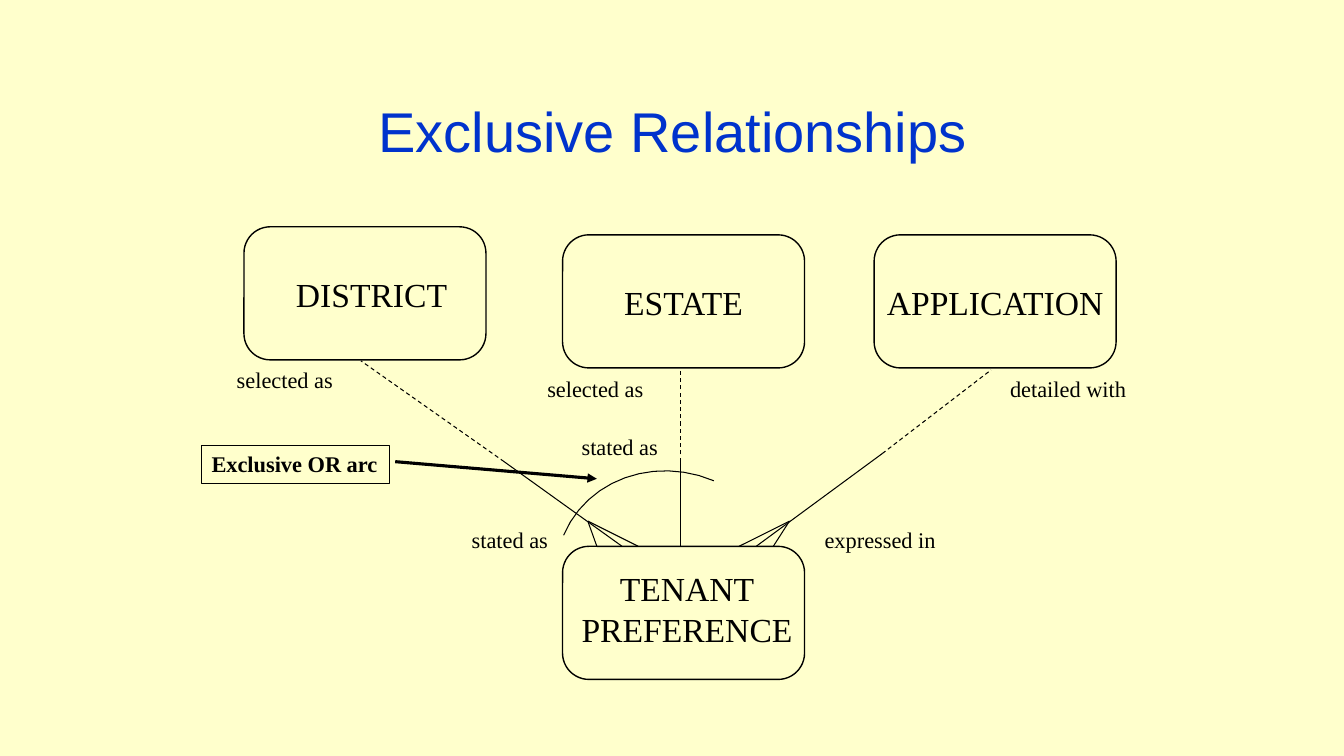
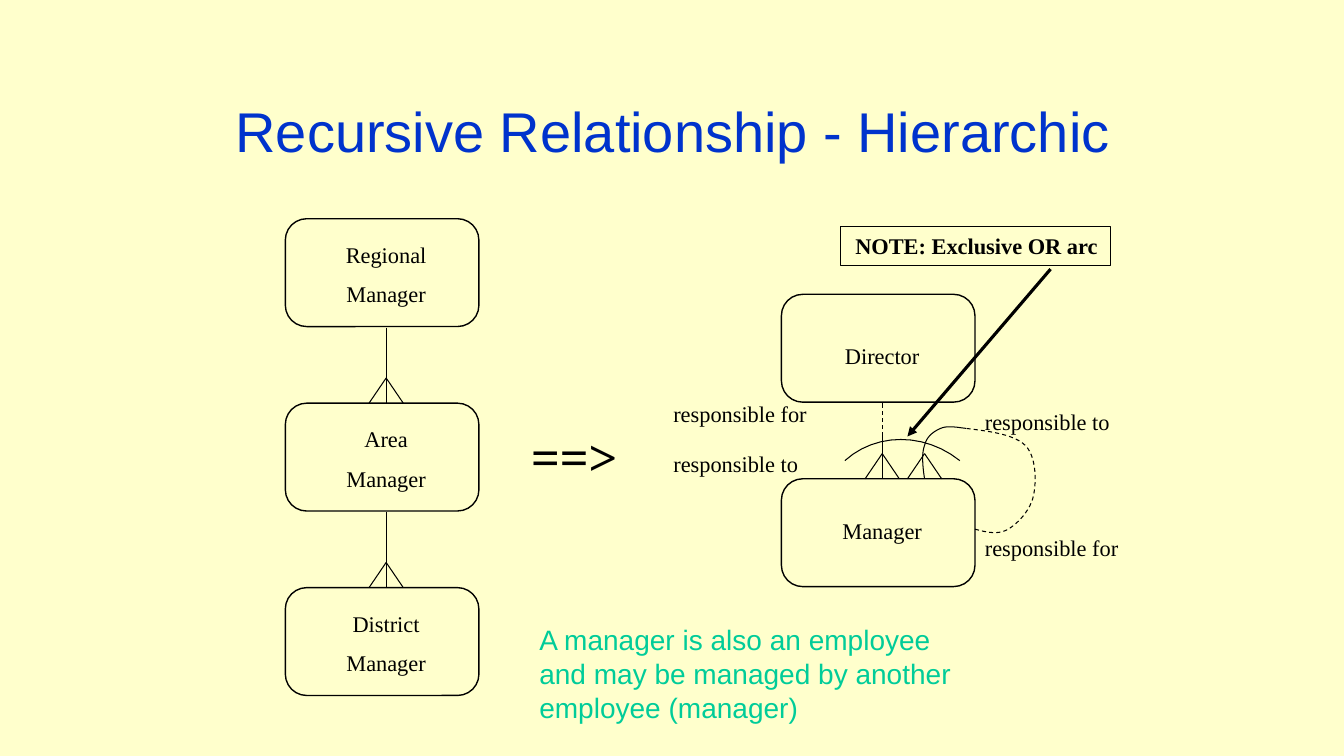
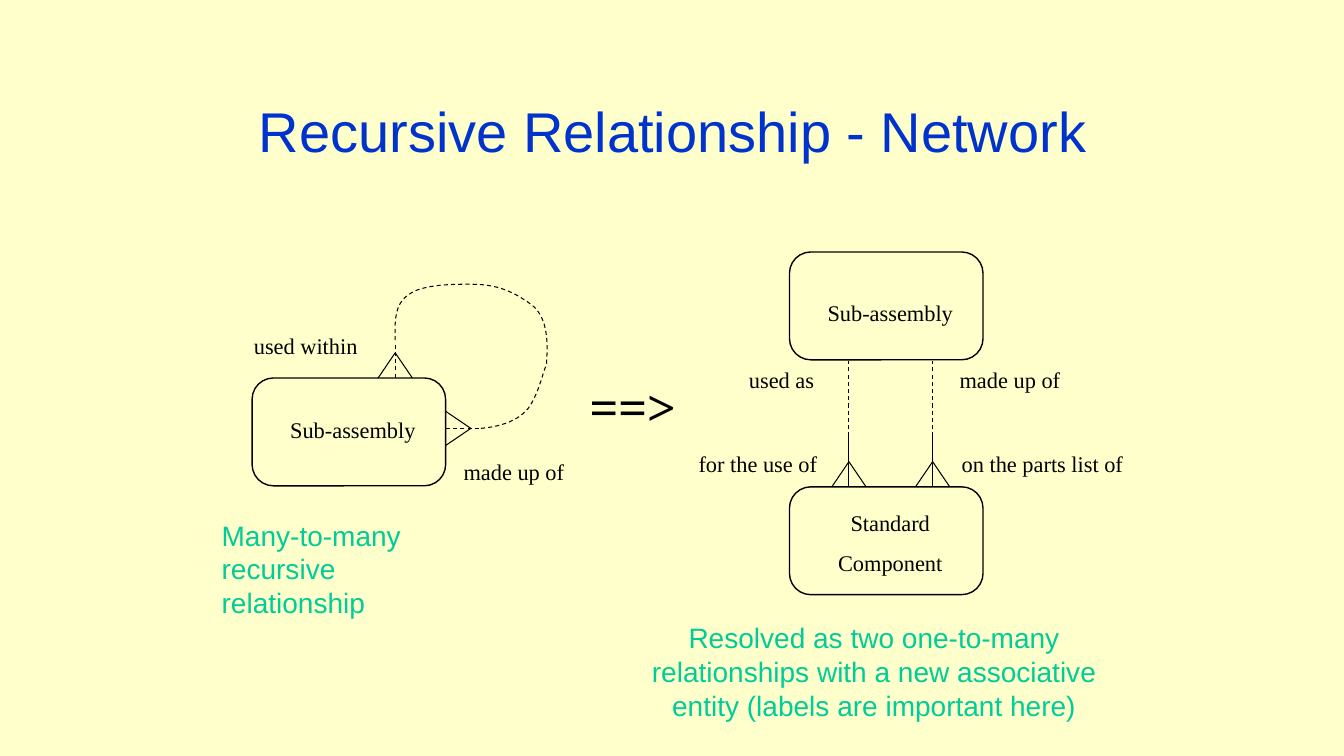
from dataclasses import dataclass, field

from lxml.etree import SubElement
from pptx import Presentation
from pptx.dml.color import RGBColor
from pptx.enum.dml import MSO_LINE
from pptx.enum.shapes import MSO_CONNECTOR, MSO_SHAPE
from pptx.enum.text import MSO_ANCHOR, MSO_AUTO_SIZE, PP_ALIGN
from pptx.oxml.ns import qn
from pptx.slide import Slide
from pptx.text.text import TextFrame
from pptx.util import Inches, Pt

COLORS = {"page": "FFFFCC", "title": "0033CC", "ink": "000000", "remark": "00CC99"}
SERIF, SANS = "Times New Roman", "Arial"
CORNER = 0.198
CURVE_STEPS = 12

Point = tuple[float, float]


# Element descriptions, lengths in inches
@dataclass(frozen=True)
class Entity:
    """Rounded box; inset and text_top place its name."""
    name: str
    left: float
    top: float
    text_top: float
    inset: float = 0.08
    width: float = 1.92
    height: float = 1.07
    size: int = 16
    gap: int = 9


@dataclass(frozen=True)
class Line:
    start: Point
    end: Point
    dashed: bool = False
    weight: float = 0.75
    arrow: bool = False


@dataclass(frozen=True)
class Curve:
    """Bezier chain: a start, then two controls and an end per segment."""
    points: list[Point]
    dashed: bool = False


@dataclass(frozen=True)
class Style:
    height: float
    size: int
    font: str = SERIF
    color: str = "ink"
    bold: bool = False
    border: bool = False
    wrap: bool = False


@dataclass(frozen=True)
class Label:
    text: str
    left: float
    top: float
    width: float
    style: str = "role"
    align: PP_ALIGN = PP_ALIGN.LEFT


@dataclass
class Diagram:
    title: str
    entities: list[Entity]
    lines: list[Line]
    labels: list[Label]
    curves: list[Curve] = field(default_factory=list)


STYLES = {
    "role": Style(0.37, 16),
    "note": Style(0.38, 16, bold=True, border=True),
    "implies": Style(0.7, 36, bold=True),
    "remark": Style(1.1, 20, font=SANS, color="remark", wrap=True),
}


def rgb(name: str) -> RGBColor:
    return RGBColor.from_string(COLORS[name])


# Rules that build parts of a diagram
def big_entity(name: str, left: float, top: float, text_top: float = 0.39,
               inset: float = 0) -> Entity:
    return Entity(name, left, top, text_top, inset, 2.4, 1.32, 24, 0)


def fan(apex: Point, *toes: Point) -> list[Line]:
    return [Line(apex, toe) for toe in toes]


def crows_foot(x: float, bottom: float) -> list[Line]:
    return fan((x, bottom - 0.25), (x - 0.17, bottom), (x + 0.17, bottom))


def half_dashed(top: Point, middle: Point, bottom: Point) -> list[Line]:
    return [Line(middle, top, dashed=True), Line(middle, bottom)]


def pointer(start: Point, end: Point) -> Line:
    return Line(start, end, weight=2.25, arrow=True)


def bezier(points: list[Point]) -> list[Point]:
    result = [points[0]]
    for i in range(0, len(points) - 1, 3):
        segment = points[i:i + 4]
        for step in range(1, CURVE_STEPS + 1):
            t = step / CURVE_STEPS
            weights = ((1 - t) ** 3, 3 * t * (1 - t) ** 2, 3 * t * t * (1 - t), t ** 3)
            result.append((sum(w * p[0] for w, p in zip(weights, segment)),
                           sum(w * p[1] for w, p in zip(weights, segment))))
    return result


# Drawing
def format_text(tf: TextFrame, size: int, font: str, color: str,
                align: PP_ALIGN, bold: bool = False, gap: int = 0) -> None:
    for i, p in enumerate(tf.paragraphs):
        p.alignment = align
        p.space_before = Pt(gap if i else 0)
        for r in p.runs:
            r.font.size = Pt(size)
            r.font.name = font
            r.font.bold = bold
            r.font.color.rgb = rgb(color)


def outline(sp, weight: float, dashed: bool = False) -> None:
    sp.line.color.rgb = rgb("ink")
    sp.line.width = Pt(weight)
    if dashed:
        sp.line.dash_style = MSO_LINE.DASH


def draw_title(s: Slide, text: str) -> None:
    sp = s.shapes.title
    sp.left, sp.top, sp.width, sp.height = map(Inches, (1, 0.67, 11.34, 1.25))
    tf = sp.text_frame
    tf.text = text
    tf.auto_size = MSO_AUTO_SIZE.NONE
    tf.vertical_anchor = MSO_ANCHOR.MIDDLE
    format_text(tf, 40, SANS, "title", PP_ALIGN.CENTER)


def draw_entity(s: Slide, e: Entity) -> None:
    sp = s.shapes.add_shape(MSO_SHAPE.ROUNDED_RECTANGLE, Inches(e.left), Inches(e.top),
                            Inches(e.width), Inches(e.height))
    sp.adjustments[0] = CORNER
    sp.shadow.inherit = False
    sp.fill.background()
    outline(sp, 1)
    tf = sp.text_frame
    tf.text = e.name
    tf.word_wrap = True
    tf.vertical_anchor = MSO_ANCHOR.TOP
    tf.margin_left, tf.margin_top = Inches(e.inset), Inches(e.text_top)
    tf.margin_right = tf.margin_bottom = 0
    format_text(tf, e.size, SERIF, "ink", PP_ALIGN.CENTER, gap=e.gap)


def draw_line(s: Slide, line: Line) -> None:
    sp = s.shapes.add_connector(MSO_CONNECTOR.STRAIGHT,
                                *map(Inches, line.start + line.end))
    outline(sp, line.weight, line.dashed)
    props = sp._element.spPr
    if line.arrow:
        SubElement(props.find(qn("a:ln")), qn("a:tailEnd"), type="triangle")
    SubElement(props, qn("a:effectLst"))


def draw_curve(s: Slide, curve: Curve) -> None:
    first, *rest = [(Inches(x), Inches(y)) for x, y in bezier(curve.points)]
    builder = s.shapes.build_freeform(*first)
    builder.add_line_segments(rest, close=False)
    sp = builder.convert_to_shape()
    sp.shadow.inherit = False
    sp.fill.background()
    outline(sp, 0.75, curve.dashed)


def draw_label(s: Slide, label: Label) -> None:
    style = STYLES[label.style]
    sp = s.shapes.add_textbox(Inches(label.left), Inches(label.top),
                              Inches(label.width), Inches(style.height))
    if style.border:
        outline(sp, 0.5)
    tf = sp.text_frame
    tf.text = label.text
    tf.word_wrap = style.wrap
    tf.auto_size = MSO_AUTO_SIZE.SHAPE_TO_FIT_TEXT
    format_text(tf, style.size, style.font, style.color, label.align, style.bold)


def draw_diagram(prs, diagram: Diagram) -> None:
    s = prs.slides.add_slide(prs.slide_layouts.get_by_name("Title Only"))
    draw_title(s, diagram.title)
    for entity in diagram.entities:
        draw_entity(s, entity)
    for line in diagram.lines:
        draw_line(s, line)
    for curve in diagram.curves:
        draw_curve(s, curve)
    for label in diagram.labels:
        draw_label(s, label)


# Slide contents
def exclusive() -> Diagram:
    return Diagram(
        "Exclusive Relationships",
        entities=[
            big_entity("DISTRICT", 2.42, 2.25, inset=0.13),
            big_entity("ESTATE", 5.58, 2.33),
            big_entity("APPLICATION", 8.67, 2.33),
            big_entity("TENANT\nPREFERENCE", 5.58, 5.42, 0.14, 0.07),
        ],
        lines=[
            *half_dashed((3.58, 3.58), (5, 4.58), (6.17, 5.42)),
            *half_dashed((6.75, 3.67), (6.75, 4.58), (6.75, 5.42)),
            *half_dashed((9.83, 3.67), (8.75, 4.5), (7.5, 5.42)),
            *fan((5.83, 5.17), (5.92, 5.42), (6.33, 5.42)),
            *fan((7.83, 5.17), (7.33, 5.42), (7.67, 5.42)),
            pointer((3.92, 4.58), (5.92, 4.75)),
        ],
        curves=[Curve([(5.59, 5.31), (5.82, 4.76), (6.49, 4.52), (7.08, 4.77)])],
        labels=[
            Label("selected as", 2.25, 3.58, 1.16),
            Label("selected as", 5.33, 3.67, 1.16),
            Label("detailed with", 9.92, 3.67, 1.36),
            Label("stated as", 5.67, 4.25, 0.96),
            Label("stated as", 4.58, 5.17, 0.96),
            Label("expressed in", 8.08, 5.17, 1.31),
            Label("Exclusive OR arc", 2, 4.42, 1.86, "note"),
        ],
    )


def hierarchic() -> Diagram:
    pitch = 1.83
    levels = ("Regional", "Area", "District")
    chain = []
    for i in range(len(levels) - 1):
        bottom = 4 + i * pitch
        chain += [Line((3.83, bottom - 0.75), (3.83, bottom)), *crows_foot(3.83, bottom)]
    return Diagram(
        "Recursive Relationship - Hierarchic",
        entities=[
            *(Entity(f"{level}\nManager", 2.83, 2.17 + i * pitch, 0.16)
              for i, level in enumerate(levels)),
            Entity("Director", 7.75, 2.92, 0.41),
            Entity("Manager", 7.75, 4.75, 0.32),
        ],
        lines=[
            *chain,
            *half_dashed((8.75, 4), (8.75, 4.33), (8.75, 4.75)),
            *crows_foot(8.75, 4.75),
            *crows_foot(9.17, 4.75),
            pointer((10.42, 2.67), (9, 4.33)),
        ],
        curves=[
            Curve([(9.67, 5.25), (9.78, 5.28), (9.9, 5.31), (10, 5.25),
                   (10.1, 5.19), (10.22, 5.06), (10.25, 4.92),
                   (10.28, 4.78), (10.28, 4.53), (10.17, 4.42),
                   (10.06, 4.31), (9.82, 4.28), (9.58, 4.25)], dashed=True),
            Curve([(9.58, 4.25), (9.49, 4.24), (9.4, 4.22), (9.33, 4.25),
                   (9.26, 4.28), (9.19, 4.33), (9.17, 4.42),
                   (9.14, 4.5), (9.15, 4.62), (9.17, 4.75)]),
            Curve([(9.52, 4.57), (9.17, 4.29), (8.69, 4.29), (8.38, 4.57)]),
        ],
        labels=[
            Label("responsible for", 6.58, 3.92, 1.53),
            Label("responsible to", 6.58, 4.42, 1.45),
            Label("responsible to", 9.67, 4, 1.45),
            Label("responsible for", 9.67, 5.25, 1.53),
            Label("==>", 5.17, 4.17, 1.06, "implies"),
            Label(" NOTE: Exclusive OR arc", 8.33, 2.25, 2.68, "note"),
            Label("A manager is also an employee and may be managed by another "
                  "employee (manager)", 5.25, 6.13, 4.41, "remark"),
        ],
    )


def network() -> Diagram:
    links = []
    for x in (8.42, 9.25):
        links += half_dashed((x, 3.58), (x, 4.33), (x, 4.83)) + crows_foot(x, 4.83)
    return Diagram(
        "Recursive Relationship - Network",
        entities=[
            Entity("Sub-assembly", 7.83, 2.5, 0.41),
            Entity("Standard\nComponent", 7.83, 4.83, 0.16),
            Entity("Sub-assembly", 2.5, 3.75, 0.32),
        ],
        lines=[
            *links,
            *crows_foot(3.92, 3.75),
            *fan((4.67, 4.25), (4.42, 4.08), (4.42, 4.42)),
            Line((4.75, 4.25), (4.42, 4.25), dashed=True),
            Line((3.92, 3.42), (3.92, 3.75), dashed=True),
        ],
        curves=[
            Curve([(4.77, 4.25), (5, 4.23), (5.15, 4.16), (5.24, 4.05),
                   (5.33, 3.93), (5.38, 3.72), (5.42, 3.61),
                   (5.44, 3.35), (5.42, 3.15), (5.28, 3.03),
                   (5.12, 2.91), (4.95, 2.82), (4.68, 2.82),
                   (4.5, 2.82), (4.3, 2.82), (4.13, 2.88),
                   (3.93, 2.97), (3.91, 3.1), (3.92, 3.4)], dashed=True),
        ],
        labels=[
            Label("used within", 2.42, 3.25, 1.23),
            Label("made up of", 4.5, 4.5, 1.2),
            Label("used as", 7.33, 3.58, 0.85),
            Label("made up of", 9.42, 3.58, 1.2),
            Label("for the use of", 6.83, 4.42, 1.38),
            Label("on the parts list of", 9.44, 4.42, 1.81),
            Label("==>", 5.75, 3.67, 1.06, "implies"),
            Label("Many-to-many recursive relationship", 2.1, 5.09, 2.04, "remark"),
            Label("Resolved as two one-to-many relationships with a new associative "
                  "entity (labels are important here)", 6.27, 6.11, 4.8, "remark",
                  PP_ALIGN.CENTER),
        ],
    )


def main() -> None:
    prs = Presentation()
    prs.slide_width, prs.slide_height = Inches(13.33), Inches(7.5)
    background = prs.slide_master.background.fill
    background.solid()
    background.fore_color.rgb = rgb("page")
    for diagram in (exclusive(), hierarchic(), network()):
        draw_diagram(prs, diagram)
    prs.save("out.pptx")


if __name__ == "__main__":
    main()
